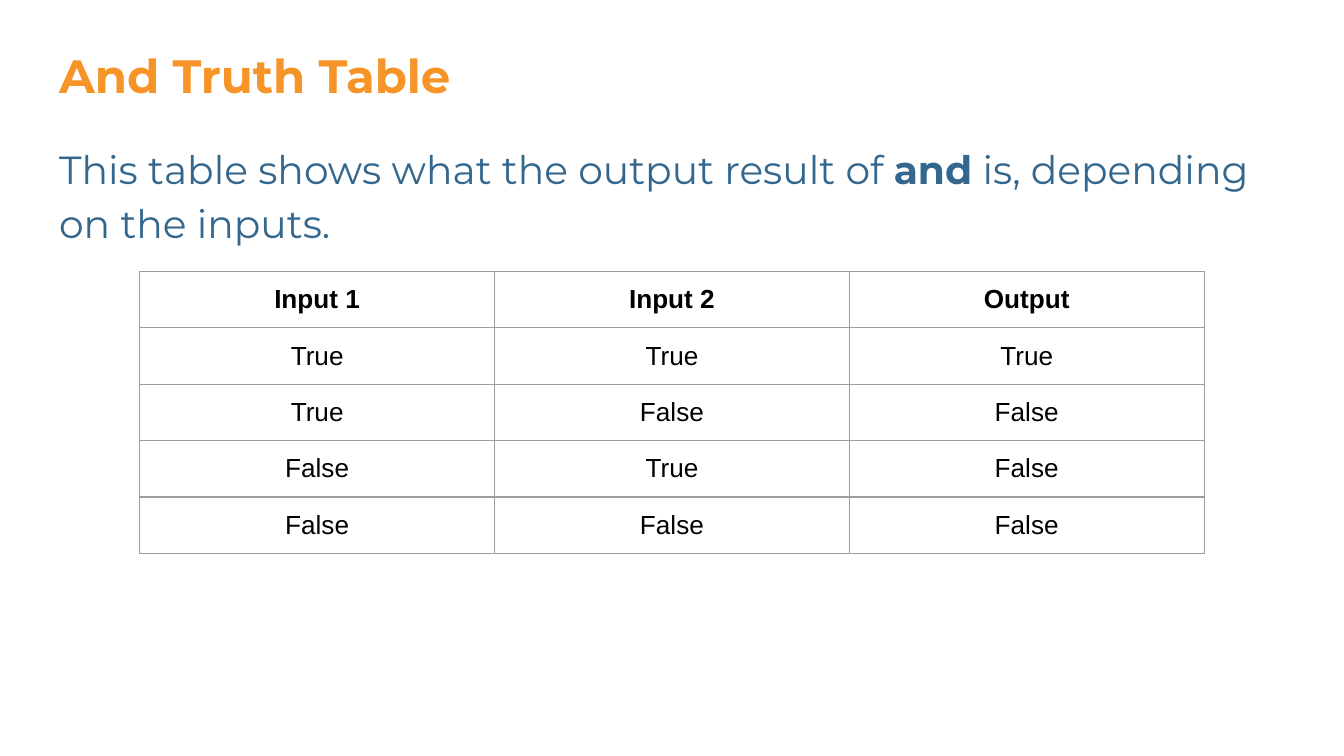
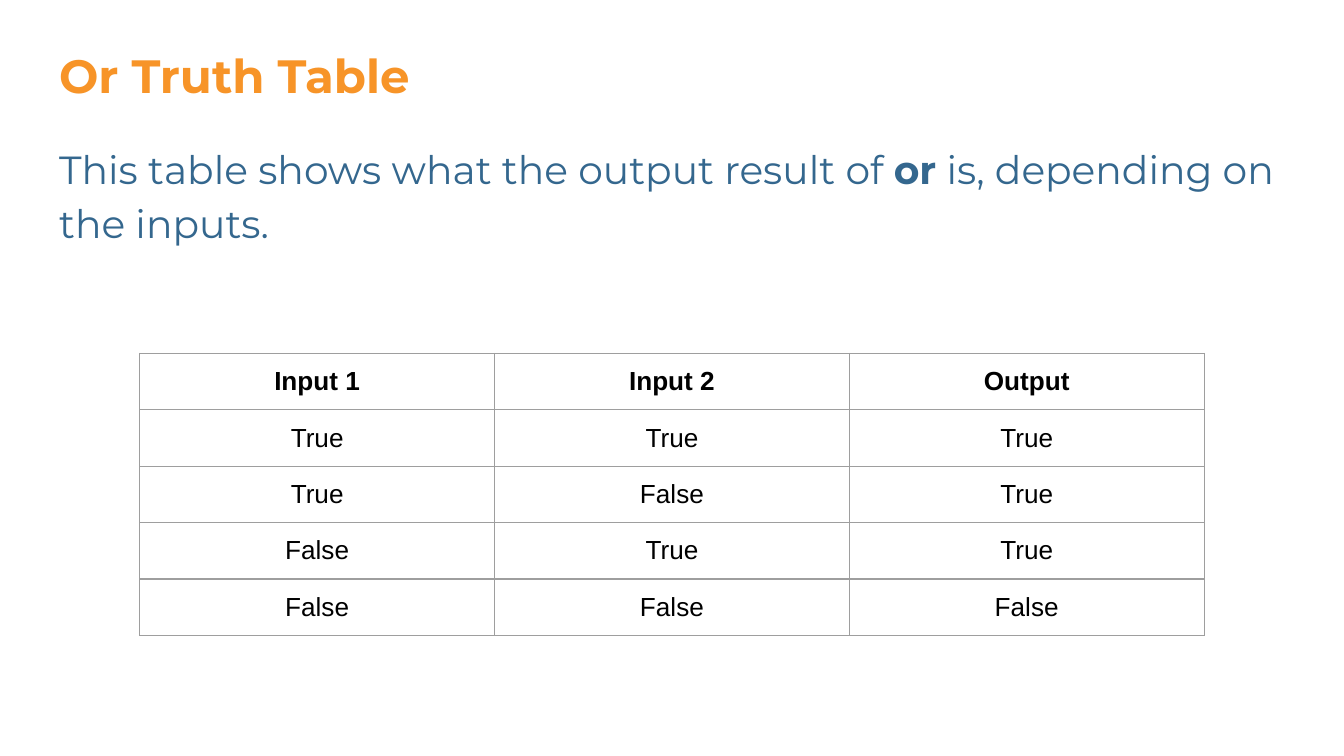
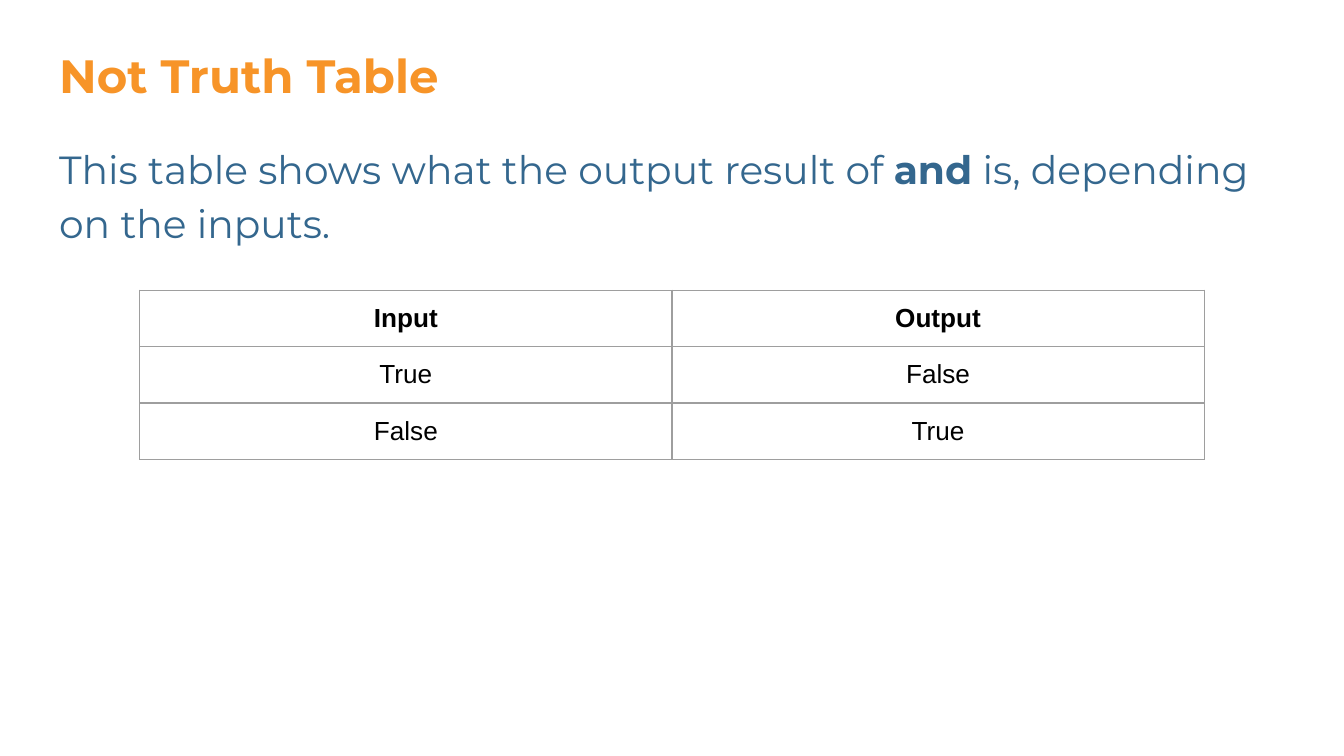
from itertools import product

from lxml import etree
from pptx import Presentation
from pptx.dml.color import RGBColor
from pptx.enum import text as t
from pptx.oxml import ns
from pptx.util import Inches, Pt

# Shared look
ORANGE = RGBColor(0xF7, 0x94, 0x28)
BLUE = RGBColor(0x34, 0x67, 0x8E)
BLACK = RGBColor(0, 0, 0)
GRAY = RGBColor(0x9E, 0x9E, 0x9E)
HEAD, CELL = "Montserrat", "Arial"
LEFT, WIDE = 0.34, 9.32
INSET = Inches(0.1)
GRID_LEFT, GRID_WIDE, ROW = 1.04, 7.92, 0.42


def write(para, text, font=CELL, size=14, color=BLACK, bold=False):
    """Add one formatted run to a paragraph."""
    run = para.add_run()
    run.text = text
    run.font.name, run.font.size = font, Pt(size)
    run.font.bold = bold
    run.font.color.rgb = color


def place(holder, top, high, anchor):
    """Move a placeholder and return its plain first paragraph."""
    holder.left, holder.top = Inches(LEFT), Inches(top)
    holder.width, holder.height = Inches(WIDE), Inches(high)
    frame = holder.text_frame
    frame.margin_left = frame.margin_right = INSET
    frame.margin_top = frame.margin_bottom = INSET
    frame.word_wrap = True
    frame.auto_size = t.MSO_AUTO_SIZE.NONE
    frame.vertical_anchor = anchor
    para = frame.paragraphs[0]
    para.alignment = t.PP_ALIGN.LEFT
    para.space_before = Pt(0)
    return para


def add_title(slide, text):
    para = place(slide.shapes.title, 0.17, 0.77, t.MSO_ANCHOR.MIDDLE)
    write(para, text, font=HEAD, size=25, color=ORANGE, bold=True)


def add_body(slide, word):
    para = place(slide.placeholders[1], 0.93, 3.83, t.MSO_ANCHOR.TOP)
    para.line_spacing = 1.15
    # No bullet or indent
    props = para._p.get_or_add_pPr()
    props.set("marL", "0")
    props.set("indent", "0")
    etree.SubElement(props, ns.qn("a:buNone"))
    for text in ("This table shows what the output result of ", word,
                 " is, depending on the inputs."):
        write(para, text, font=HEAD, size=21, color=BLUE, bold=text == word)


def edge(cell):
    """Draw a thin gray line on all four sides of a cell."""
    props = cell._tc.get_or_add_tcPr()
    for side in ("a:lnL", "a:lnR", "a:lnT", "a:lnB"):
        line = etree.SubElement(props, ns.qn(side), w=str(int(Pt(0.75))))
        fill = etree.SubElement(line, ns.qn("a:solidFill"))
        etree.SubElement(fill, ns.qn("a:srgbClr"), val=str(GRAY))


def add_grid(slide, top, rows):
    cols = len(rows[0])
    grid = slide.shapes.add_table(
        len(rows), cols, Inches(GRID_LEFT), Inches(top),
        Inches(GRID_WIDE), Inches(ROW * len(rows))).table
    grid.first_row = grid.horz_banding = False
    for col in grid.columns:
        col.width = Inches(GRID_WIDE / cols)
    for r, row in enumerate(rows):
        grid.rows[r].height = Inches(ROW)
        for c, text in enumerate(row):
            cell = grid.cell(r, c)
            cell.margin_left = cell.margin_right = INSET
            cell.margin_top = cell.margin_bottom = INSET
            edge(cell)
            cell.fill.background()
            para = cell.text_frame.paragraphs[0]
            para.alignment = t.PP_ALIGN.CENTER
            write(para, text, bold=r == 0)


def truth(rule, heads):
    """List the heads, then each mix of inputs with its output."""
    mixes = product((True, False), repeat=len(heads) - 1)
    return [heads] + [[str(v) for v in (*mix, rule(*mix))] for mix in mixes]


def main():
    deck = Presentation()
    # Wide 16:9 page
    deck.slide_width = Inches(10)
    deck.slide_height = Inches(10) * 9 // 16

    # Title, bold word, table top, rule, table heads
    pair = ["Input 1", "Input 2", "Output"]
    slides = [
        ("And Truth Table", "and", 2.02, lambda a, b: a and b, pair),
        ("Or Truth Table", "or", 2.63, lambda a, b: a or b, pair),
        ("Not Truth Table", "and", 2.16, lambda a: not a, ["Input", "Output"]),
    ]
    for title, word, top, rule, heads in slides:
        slide = deck.slides.add_slide(deck.slide_layouts[1])
        add_title(slide, title)
        add_body(slide, word)
        add_grid(slide, top, truth(rule, heads))

    deck.save("out.pptx")


if __name__ == "__main__":
    main()
